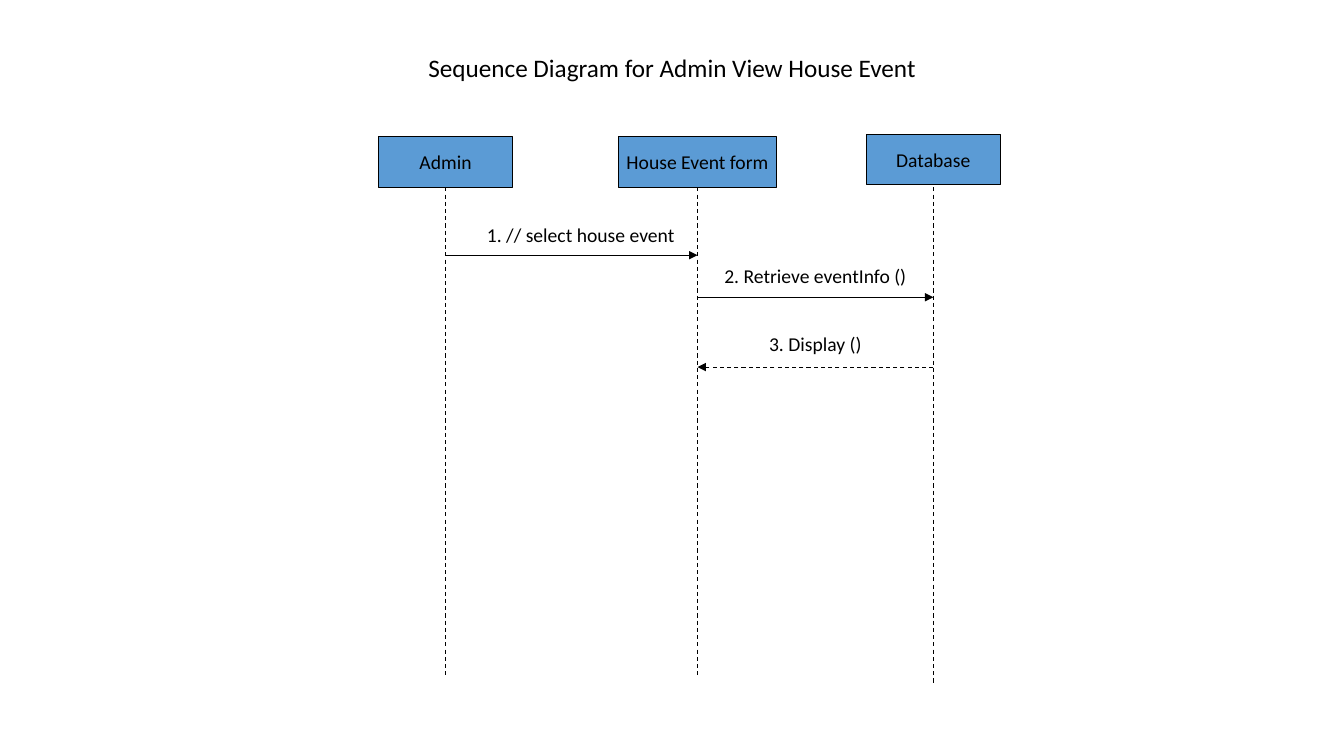
from lxml import etree
from pptx import Presentation
from pptx.dml.color import RGBColor
from pptx.enum.dml import MSO_LINE
from pptx.enum.shapes import MSO_CONNECTOR, MSO_SHAPE
from pptx.enum.text import MSO_ANCHOR, PP_ALIGN
from pptx.oxml.ns import qn
from pptx.util import Cm, Pt

BLACK = RGBColor(0x00, 0x00, 0x00)
WHITE = RGBColor(0xFF, 0xFF, 0xFF)
BLUE = RGBColor(0x5B, 0x9B, 0xD5)
RECTANGLE = MSO_SHAPE.RECTANGLE
STRAIGHT = MSO_CONNECTOR.STRAIGHT
DASH = MSO_LINE.DASH
MIDDLE = MSO_ANCHOR.MIDDLE
CENTER = PP_ALIGN.CENTER

HEADER_HEIGHT = 1.27
LIFELINE_TOP = 4.72
LABEL_HEIGHT = 0.64

ADMIN_X, FORM_X, DATABASE_X = 11.23, 17.58, 23.52

# name, centre, header top, header width, lifeline bottom
PARTICIPANTS = [
    ("Admin", ADMIN_X, 3.45, 3.38, 17.02),
    ("House Event form", FORM_X, 3.45, 3.99, 17.02),
    ("Database", DATABASE_X, 3.38, 3.38, 17.22),
]

# text, sender, receiver, arrow height, dashed, label centre, label top, label width
MESSAGES = [
    ("1. // select house event", ADMIN_X, FORM_X, 6.43, False, 14.64, 5.59, 3.02),
    ("2. Retrieve eventInfo ()", FORM_X, DATABASE_X, 7.49, False, 20.55, 6.63, 5.08),
    ("3. Display ()", DATABASE_X, FORM_X, 9.25, True, 20.55, 8.33, 5.08),
]


class SequenceDiagram:
    """Draws diagram elements on one slide; all lengths are in centimetres."""

    font_name = "Calibri"
    line_width = Pt(0.75)

    def __init__(self, slide):
        self.slide = slide

    def box(self, text, center, top, width, height, fill=WHITE, outline=WHITE, size=14):
        shape = self.slide.shapes.add_shape(
            RECTANGLE, Cm(center - width / 2), Cm(top), Cm(width), Cm(height))
        shape.shadow.inherit = False
        shape.fill.solid()
        shape.fill.fore_color.rgb = fill
        shape.line.color.rgb = outline
        shape.line.width = self.line_width
        text_frame = shape.text_frame
        text_frame.text = text
        text_frame.word_wrap = False
        text_frame.vertical_anchor = MIDDLE
        paragraph = text_frame.paragraphs[0]
        paragraph.alignment = CENTER
        font = paragraph.runs[0].font
        font.name = self.font_name
        font.size = Pt(size)
        font.color.rgb = BLACK

    def line(self, start_x, start_y, end_x, end_y, dashed=False, arrow=False):
        connector = self.slide.shapes.add_connector(
            STRAIGHT, Cm(start_x), Cm(start_y), Cm(end_x), Cm(end_y))
        connector.line.color.rgb = BLACK
        connector.line.width = self.line_width
        if dashed:
            connector.line.dash_style = DASH
        properties = connector.element.spPr
        if arrow:
            outline = properties.find(qn("a:ln"))
            etree.SubElement(outline, qn("a:tailEnd"), type="triangle")
        etree.SubElement(properties, qn("a:effectLst"))

    def header(self, name, center, top, width):
        self.box(name, center, top, width, HEADER_HEIGHT, BLUE, BLACK)

    def lifeline(self, center, bottom):
        self.line(center, LIFELINE_TOP, center, bottom, dashed=True)

    def message(self, sender, receiver, height, dashed):
        self.line(sender, height, receiver, height, dashed, arrow=True)

    def label(self, text, center, top, width):
        self.box(text, center, top, width, LABEL_HEIGHT)


def main():
    presentation = Presentation()
    presentation.slide_width = Cm(33.87)
    presentation.slide_height = Cm(19.05)
    slide = presentation.slides.add_slide(presentation.slide_layouts[6])
    diagram = SequenceDiagram(slide)

    diagram.box("Sequence Diagram for Admin View House Event",
                16.94, 0.84, 13.97, 1.7, size=18)
    for name, center, top, width, _ in PARTICIPANTS:
        diagram.header(name, center, top, width)
    for _, center, _, _, bottom in PARTICIPANTS:
        diagram.lifeline(center, bottom)
    for _, sender, receiver, height, dashed, *_ in MESSAGES:
        diagram.message(sender, receiver, height, dashed)
    for text, _, _, _, _, center, top, width in MESSAGES:
        diagram.label(text, center, top, width)

    presentation.save("out.pptx")


if __name__ == "__main__":
    main()
